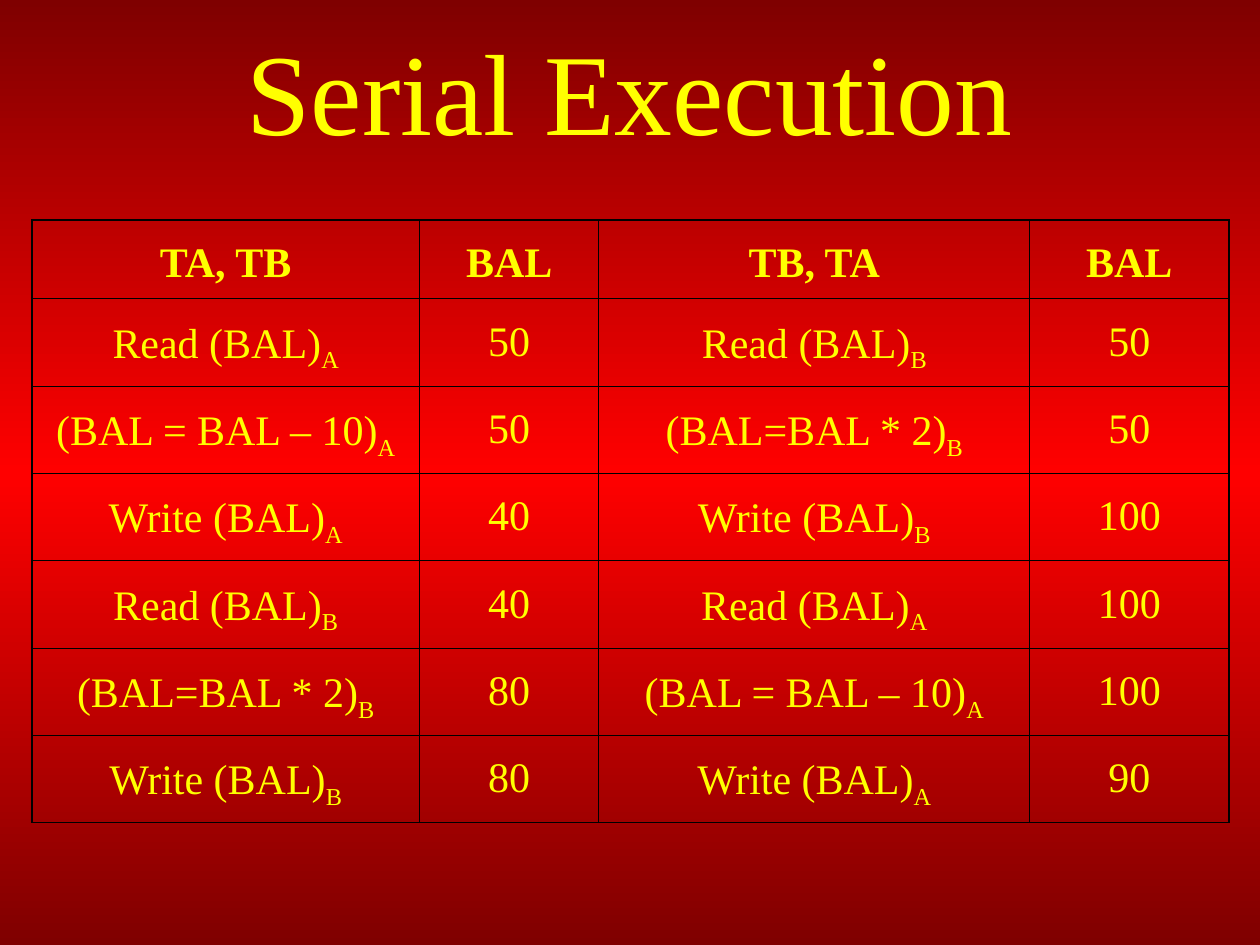
from copy import deepcopy

from pptx import Presentation
from pptx.dml.color import RGBColor
from pptx.enum.text import MSO_ANCHOR, PP_ALIGN
from pptx.oxml import parse_xml
from pptx.oxml.ns import nsdecls, qn
from pptx.util import Cm, Pt

CENTER = PP_ALIGN.CENTER
MIDDLE = MSO_ANCHOR.MIDDLE
YELLOW = "FFFF00"
BLACK = "000000"
GRADIENT = [(0, "7F0000"), (0.5, "FF0000"), (1, "7F0000")]


def color(value):
    return RGBColor.from_string(value)


def style(paragraph, size, bold=False):
    paragraph.alignment = CENTER
    paragraph.font.name = "Times New Roman"
    paragraph.font.size = Pt(size)
    paragraph.font.bold = bold
    paragraph.font.color.rgb = color(YELLOW)


prs = Presentation()
prs.slide_width, prs.slide_height = Cm(25.4), Cm(19.05)
slide = prs.slides.add_slide(prs.slide_layouts[6])

backdrop = slide.background.fill
backdrop.gradient()
backdrop.gradient_angle = 90
stop_list = slide.element.find(".//" + qn("a:gsLst"))
stop_list.append(deepcopy(stop_list[-1]))
for stop, (position, shade) in zip(backdrop.gradient_stops, GRADIENT):
    stop.position = position
    stop.color.rgb = color(shade)

title = slide.shapes.add_textbox(Cm(1.9), Cm(0.64), Cm(21.6), Cm(2.34)).text_frame
title.word_wrap = True
title.vertical_anchor = MIDDLE
title.text = "Serial Execution"
style(title.paragraphs[0], 66)

READ, WRITE = "Read (BAL)", "Write (BAL)"
SUBTRACT, DOUBLE = "(BAL = BAL – 10)", "(BAL=BAL * 2)"
schedule = [
    [("TA, TB", ""), ("BAL", ""), ("TB, TA", ""), ("BAL", "")],
    [(READ, "A"), ("50", ""), (READ, "B"), ("50", "")],
    [(SUBTRACT, "A"), ("50", ""), (DOUBLE, "B"), ("50", "")],
    [(WRITE, "A"), ("40", ""), (WRITE, "B"), ("100", "")],
    [(READ, "B"), ("40", ""), (READ, "A"), ("100", "")],
    [(DOUBLE, "B"), ("80", ""), (SUBTRACT, "A"), ("100", "")],
    [(WRITE, "B"), ("80", ""), (WRITE, "A"), ("90", "")],
]
column_widths = [7.82, 3.61, 8.69, 4.01]
row_heights = [1.58] + [1.76] * 6
last_row, last_column = len(row_heights) - 1, len(column_widths) - 1

table = slide.shapes.add_table(
    len(row_heights), len(column_widths), Cm(0.64), Cm(4.44),
    Cm(sum(column_widths)), Cm(sum(row_heights))).table
table.first_row = False
table.horz_banding = False
for column, width in zip(table.columns, column_widths):
    column.width = Cm(width)

for r, (row, height, steps) in enumerate(zip(table.rows, row_heights, schedule)):
    row.height = Cm(height)
    for c, (cell, (step, transaction)) in enumerate(zip(row.cells, steps)):
        paragraph = cell.text_frame.paragraphs[0]
        paragraph.line_spacing = 1.3
        style(paragraph, 24, bold=r == 0)
        paragraph.add_run().text = step
        if transaction:
            subscript = paragraph.add_run()
            subscript.text = transaction
            subscript.font._element.set("baseline", "-25000")

        properties = cell._tc.get_or_add_tcPr()
        outer_edges = {"L": c == 0, "R": c == last_column, "T": r == 0, "B": r == last_row}
        for side, outer in outer_edges.items():
            width = Pt(1.08 if outer else 0.45)
            properties.append(parse_xml(
                f'<a:ln{side} {nsdecls("a")} w="{width}"><a:solidFill>'
                f'<a:srgbClr val="{BLACK}"/></a:solidFill></a:ln{side}>'))
        cell.fill.background()

prs.save("out.pptx")
